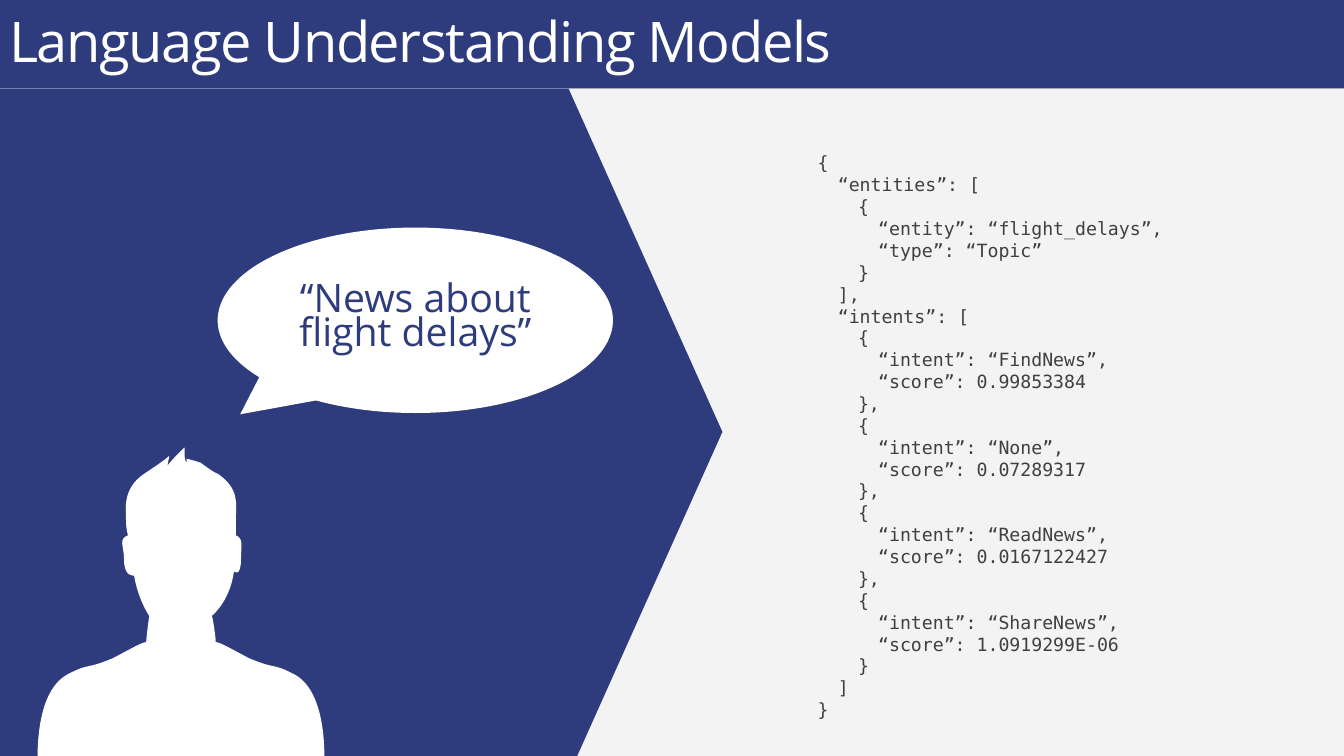
from dataclasses import dataclass
from typing import Any, NamedTuple

from lxml.etree import SubElement
from pptx import Presentation
from pptx.dml.color import RGBColor
from pptx.enum.shapes import MSO_SHAPE as Preset
from pptx.enum.text import MSO_ANCHOR as Anchor, MSO_AUTO_SIZE as AutoSize, PP_ALIGN as Align
from pptx.oxml.ns import qn
from pptx.util import Inches, Pt


@dataclass(frozen=True)
class Theme:
    navy: str = "2E3C7E"
    white: str = "FFFFFF"
    pale: str = "F3F3F3"
    ink: str = "404040"
    sans: str = "Open Sans"
    mono: str = "DejaVu Sans Mono"
    title_size: int = 40
    quote_size: int = 28
    code_size: int = 13


class Box(NamedTuple):
    """Left, top, width and height in percent of the slide."""
    left: float
    top: float
    width: float
    height: float


class Panel(NamedTuple):
    preset: Preset
    box: Box
    fill: str
    adjustments: tuple[float, ...] = ()


THEME = Theme()
SLIDE_WIDTH, SLIDE_HEIGHT = Inches(13.33), Inches(7.5)
CELL = SLIDE_HEIGHT / 750
HEADER_HEIGHT = 11.73
CODE_INDENT = Inches(0.2)

BACKDROP = Panel(Preset.RECTANGLE, Box(0, HEADER_HEIGHT, 100, 100 - HEADER_HEIGHT), THEME.pale)
SPEAKER_PANEL = Panel(Preset.PENTAGON, Box(0, HEADER_HEIGHT, 53.75, 90.8), THEME.navy, (0.224,))
SPEECH_BUBBLE = Panel(Preset.OVAL_CALLOUT, Box(16.2, 30.1, 29.41, 24.53), THEME.white,
                      (-0.443, 0.507))
HEADER_BOX = Box(0, 0, 100, HEADER_HEIGHT)
CODE_BOX = Box(59.34, 17.95, 39, 80)

# Cubic curves in grid cells: a start, then two control points and an end for each curve.
MIRROR_SUM = 359
LEFT_SHOULDER = [
    (38, 769),
    (38, 769), (30, 689), (67, 669), (90, 657), (83, 665), (112, 653),
    (131, 643), (141, 637), (145, 637), (145, 633), (148, 611), (148, 611),
]
HEAD = [
    (148, 611), (137, 595), (133, 571), (133, 571), (123, 573), (123, 555),
    (123, 541), (117, 535), (127, 531), (127, 531), (125, 525), (125, 517),
    (125, 505), (121, 485), (143, 470), (166, 455), (168, 452), (168, 452),
    (168, 452), (168, 452), (166, 462), (166, 462), (174, 452), (183, 444),
    (183, 444), (183, 444), (183, 448), (183, 451), (183, 457), (185, 459),
    (185, 459), (185, 459), (185, 455), (185, 455), (193, 457), (199, 459),
    (199, 459), (212, 469), (216, 470), (238, 485), (234, 501), (234, 513),
    (234, 523), (234, 531), (234, 531), (242, 535), (239, 541), (239, 555),
    (239, 573), (232, 567), (232, 567), (228, 597), (210, 611), (210, 611),
]

RESPONSE = """{
\t“entities”: [
\t\t{
\t\t\t“entity”: “flight_delays”,
\t\t\t“type”: “Topic”
\t\t}
\t],
\t“intents”: [
\t\t{
\t\t\t“intent”: “FindNews”,
\t\t\t“score”: 0.99853384
\t\t},
\t\t{
\t\t\t“intent”: “None”,
\t\t\t“score”: 0.07289317
\t\t},
\t\t{
\t\t\t“intent”: “ReadNews”,
\t\t\t“score”: 0.0167122427
\t\t},
\t\t{
\t\t\t“intent”: “ShareNews”,
\t\t\t“score”: 1.0919299E-06
\t\t}
\t]
}"""


def apply(target: Any, formats: dict[str, Any]) -> None:
    for attribute, value in formats.items():
        setattr(target, attribute, value)


def in_emu(box: Box) -> dict[str, int]:
    return {
        "left": round(SLIDE_WIDTH * box.left / 100),
        "top": round(SLIDE_HEIGHT * box.top / 100),
        "width": round(SLIDE_WIDTH * box.width / 100),
        "height": round(SLIDE_HEIGHT * box.height / 100),
    }


def paint(shape: Any, color: str) -> None:
    shape.fill.solid()
    shape.fill.fore_color.rgb = RGBColor.from_string(color)
    shape.line.fill.background()


def write(shape: Any, text: str, font: dict[str, Any], color: str,
          frame: dict[str, Any], paragraph: dict[str, Any]) -> None:
    apply(shape.text_frame, {"word_wrap": True, "text": text} | frame)
    for line in shape.text_frame.paragraphs:
        apply(line, paragraph)
        for run in line.runs:
            apply(run.font, font)
            run.font.color.rgb = RGBColor.from_string(color)


def add_panel(slide: Any, panel: Panel) -> Any:
    shape = slide.shapes.add_shape(panel.preset, **in_emu(panel.box))
    shape.shadow.inherit = False
    paint(shape, panel.fill)
    for index, value in enumerate(panel.adjustments):
        shape.adjustments[index] = value
    return shape


def add_title(slide: Any) -> None:
    title = slide.shapes.title
    apply(title, in_emu(HEADER_BOX))
    paint(title, THEME.navy)
    write(title, "Language Understanding Models",
          {"name": THEME.sans, "size": Pt(THEME.title_size)}, THEME.white,
          {"vertical_anchor": Anchor.MIDDLE, "auto_size": AutoSize.NONE,
           "margin_left": Inches(0.09)},
          {"alignment": Align.LEFT, "line_spacing": 0.9})
    for run in title.text_frame.paragraphs[0].runs:
        run.font._element.set("spc", "-100")


def add_response(slide: Any) -> None:
    response = slide.shapes.add_textbox(**in_emu(CODE_BOX))
    side, end = Inches(0.2), Inches(0.16)
    write(response, RESPONSE, {"name": THEME.mono, "size": Pt(THEME.code_size)}, THEME.ink,
          {"margin_left": side, "margin_right": side, "margin_top": end, "margin_bottom": end},
          {"alignment": Align.LEFT})
    for line in response.text_frame.paragraphs:
        stops = SubElement(line._p.get_or_add_pPr(), qn("a:tabLst"))
        for depth in range(1, 4):
            SubElement(stops, qn("a:tab"), pos=str(CODE_INDENT * depth), algn="l")


def bend(outline: Any) -> None:
    """Turn each three straight segments of a freeform into one cubic curve."""
    path_element = next(outline._element.iter(qn("a:path")))
    segments = path_element.findall(qn("a:lnTo"))
    for first in range(0, len(segments), 3):
        curve = SubElement(path_element, qn("a:cubicBezTo"))
        segments[first].addprevious(curve)
        for segment in segments[first:first + 3]:
            curve.append(segment[0])
            path_element.remove(segment)


def add_speaker(slide: Any) -> None:
    right_shoulder = [(MIRROR_SUM - x, y) for x, y in reversed(LEFT_SHOULDER)]
    start, *corners = LEFT_SHOULDER + HEAD + right_shoulder[1:]
    builder = slide.shapes.build_freeform(*start, scale=CELL)
    builder.add_line_segments(corners, close=True)
    speaker = builder.convert_to_shape()
    bend(speaker)
    speaker.shadow.inherit = False
    paint(speaker, THEME.white)


def main() -> None:
    deck = Presentation()
    apply(deck, {"slide_width": SLIDE_WIDTH, "slide_height": SLIDE_HEIGHT})
    slide = deck.slides.add_slide(deck.slide_layouts[5])
    add_panel(slide, BACKDROP)
    add_response(slide)
    add_panel(slide, SPEAKER_PANEL)
    bubble = add_panel(slide, SPEECH_BUBBLE)
    write(bubble, "“News about flight delays”",
          {"name": THEME.sans, "size": Pt(THEME.quote_size)}, THEME.navy,
          {"vertical_anchor": Anchor.MIDDLE, "margin_left": 0, "margin_right": 0,
           "margin_top": 0, "margin_bottom": 0},
          {"alignment": Align.CENTER, "line_spacing": Pt(24)})
    add_speaker(slide)
    add_title(slide)
    deck.save("out.pptx")


if __name__ == "__main__":
    main()
